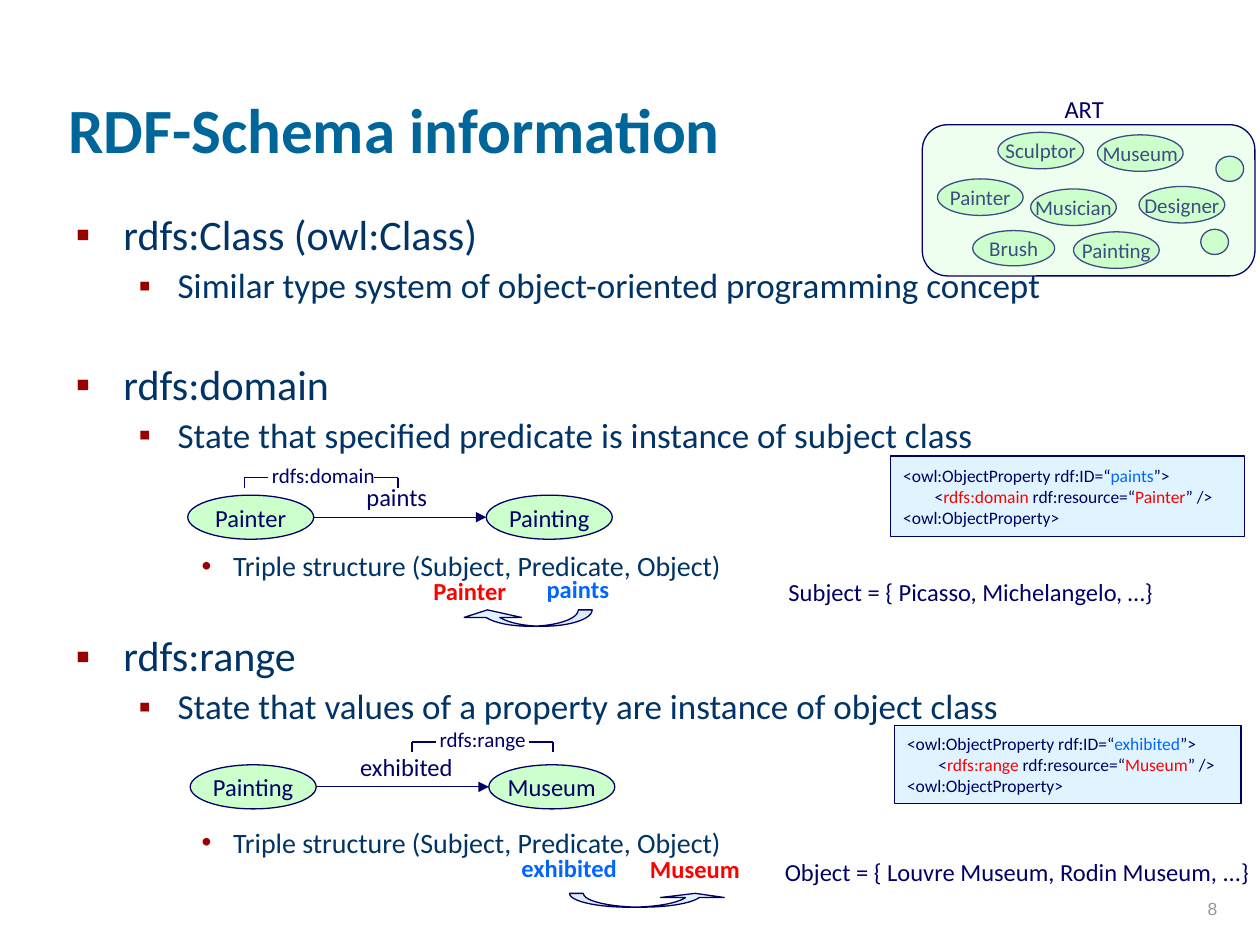
from lxml import etree
from pptx import Presentation
from pptx.dml import color
from pptx.enum import shapes, text
from pptx.oxml import ns
from pptx.util import Inches, Pt

NAVY, GREEN, SKY = "000066", "CCFFCC", "66CCFF"
RED, BLUE, BULLET = "FF0000", "0066FF", "990000"
SHAPE = shapes.MSO_SHAPE


def rgb(hex_code):
    """Turn a hex string into a colour."""
    return color.RGBColor.from_string(hex_code)


def add_element(parent, tag, **attributes):
    """Append a DrawingML element and return it."""
    return etree.SubElement(parent, ns.qn(tag), attributes)


def add_run(paragraph, words, size, hue=NAVY, bold=False, face="Calibri"):
    """Append one formatted run."""
    run = paragraph.add_run()
    run.text = words
    run.font.size, run.font.bold, run.font.name = Pt(size), bold, face
    run.font.color.rgb = rgb(hue)


def add_label(slide, box, words, size=14, hue=NAVY, bold=False):
    """Place a single-line text box."""
    label = slide.shapes.add_textbox(*map(Inches, box))
    label.text_frame.word_wrap = True
    add_run(label.text_frame.paragraphs[0], words, size, hue, bold)
    return label


def add_outlined(slide, kind, box, fill, alpha=100):
    """Place a filled preset shape with a thin navy outline."""
    outlined = slide.shapes.add_shape(kind, *map(Inches, box))
    outlined.shadow.inherit = False
    outlined.fill.solid()
    outlined.fill.fore_color.rgb = rgb(fill)
    if alpha < 100:
        hue = outlined.fill._xPr.find(".//" + ns.qn("a:srgbClr"))
        add_element(hue, "a:alpha", val=str(alpha * 1000))
    outlined.line.color.rgb = rgb(NAVY)
    outlined.line.width = Pt(0.75)
    return outlined


def add_node(slide, box, name="", size=14):
    """Place a class ellipse with its name."""
    frame = add_outlined(slide, SHAPE.OVAL, box, GREEN).text_frame
    frame.word_wrap = False
    frame.vertical_anchor = text.MSO_ANCHOR.MIDDLE
    if name:
        frame.paragraphs[0].alignment = text.PP_ALIGN.CENTER
        add_run(frame.paragraphs[0], name, size)


def add_line(slide, x1, y1, x2, y2, arrow=False):
    """Draw a thin navy line, with an arrowhead at its end if wanted."""
    line = slide.shapes.add_connector(
        shapes.MSO_CONNECTOR.STRAIGHT, *map(Inches, (x1, y1, x2, y2)))
    line.line.color.rgb = rgb(NAVY)
    line.line.width = Pt(0.75)
    if arrow:
        add_element(line.line._get_or_add_ln(), "a:tailEnd", type="triangle")
    add_element(line._element.spPr, "a:effectLst")


def fill_title(slide, box):
    """Place the slide title."""
    title = slide.shapes.title
    title.left, title.top, title.width, title.height = map(Inches, box)
    title.text_frame.vertical_anchor = text.MSO_ANCHOR.BOTTOM
    heading = title.text_frame.paragraphs[0]
    heading.alignment = text.PP_ALIGN.LEFT
    add_run(heading, "RDF-Schema information", 36, "006699", True)


def fill_outline(slide, box):
    """Place the bulleted outline, leaving room for the diagrams."""
    levels = [(0.38, 0.38, "▪", 24), (0.81, 0.31, "▪", 20), (1.25, 0.25, "•", 16)]
    triple = "Triple structure (Subject, Predicate, Object)"
    entries = [
        (0, 0, "rdfs:Class (owl:Class)"),
        (1, 5, "Similar type system of object-oriented programming concept"),
        (0, 33, "rdfs:domain"),
        (1, 5, "State that specified predicate is instance of subject class"),
        (2, 55.2, triple),
        (0, 30.3, "rdfs:range"),
        (1, 5, "State that values of a property are instance of object class"),
        (2, 58, triple),
    ]
    outline = slide.placeholders[1]
    outline.left, outline.top, outline.width, outline.height = map(Inches, box)
    frame = outline.text_frame
    frame.auto_size = text.MSO_AUTO_SIZE.NONE
    for number, (level, gap, words) in enumerate(entries):
        entry = frame.add_paragraph() if number else frame.paragraphs[0]
        margin, hanging, mark, size = levels[level]
        entry.level = level
        properties = entry._p.get_or_add_pPr()
        properties.set("marL", str(Inches(margin)))
        properties.set("indent", str(-Inches(hanging)))
        add_element(add_element(properties, "a:buClr"), "a:srgbClr", val=BULLET)
        add_element(properties, "a:buFont", typeface="Arial")
        add_element(properties, "a:buChar", char=mark)
        entry.line_spacing, entry.space_before = 0.9, Pt(gap)
        add_run(entry, words, size, "003366")


def add_art_domain(slide, box):
    """Place the ART group of classes."""
    left, top, width, height = box
    classes = [
        ("Painter", 0.12, 0.43), ("Designer", 1.72, 0.49), ("Sculptor", 0.6, 0.06),
        ("Musician", 0.86, 0.51), ("Museum", 1.39, 0.08), ("Painting", 1.2, 0.85),
        ("Brush", 0.4, 0.84),
    ]
    for name, x, y in classes:
        size = (0.65, 0.28) if name == "Brush" else (0.68, 0.29)
        add_node(slide, (left + x, top + y, *size), name, 12)
    for x, y in [(2.33, 0.25), (2.21, 0.83)]:
        add_node(slide, (left + x, top + y, 0.22, 0.2))
    add_outlined(slide, SHAPE.ROUNDED_RECTANGLE, box, GREEN, 30)
    add_label(slide, (left + 1.03, top - 0.29, 0.62, 0.34), "ART")


def add_bracket(slide, box, words):
    """Place a bracket with its label set into the top edge."""
    left, top, width, drop = box
    stub, right = 0.19, left + width
    for edge, inner in [(left, left + stub), (right, right - stub)]:
        add_line(slide, inner, top, edge, top)
        add_line(slide, edge, top, edge, top + drop)
    add_label(slide, (left + 0.12, top - 0.17, 1.14, 0.3), words, 12)


def add_triple(slide, box, subject, predicate, target, predicate_x):
    """Place subject and object ellipses joined by the predicate arrow."""
    left, top, width, height = box
    middle = top + height / 2
    add_node(slide, (left, top, 1, height), subject)
    add_node(slide, (left + width - 1, top, 1, height), target)
    add_line(slide, left + 1, middle, left + width - 1, middle, arrow=True)
    add_label(slide, (predicate_x, top - 0.15, 1.03, 0.34), predicate)


def add_property_code(slide, box, predicate, keyword, resource):
    """Place the OWL listing of one property."""
    listing = add_outlined(slide, SHAPE.RECTANGLE, box, SKY, 20)
    frame = listing.text_frame
    frame.word_wrap = False
    frame.vertical_anchor = text.MSO_ANCHOR.MIDDLE
    lines = [
        [("<owl:ObjectProperty rdf:ID=“", NAVY), (predicate, BLUE), ("”>", NAVY)],
        [("        <", NAVY), (keyword + " ", RED), ("rdf:resource=“", NAVY),
         (resource, RED), ("” />", NAVY)],
        [("<owl:ObjectProperty>", NAVY)],
    ]
    for number, parts in enumerate(lines):
        line = frame.add_paragraph() if number else frame.paragraphs[0]
        line.alignment = text.PP_ALIGN.LEFT
        for words, hue in parts:
            add_run(line, words, 10, hue)


def add_curved_arrow(slide, kind, box, proportions, rotation=0):
    """Place the curved arrow that links predicate and class."""
    arrow = add_outlined(slide, kind, box, SKY, 20)
    arrow.rotation = rotation
    for index, share in enumerate(proportions):
        arrow.adjustments[index] = share


def add_page_number(slide, box, number):
    """Place the page number."""
    page = slide.shapes.add_textbox(*map(Inches, box)).text_frame
    page.word_wrap = True
    page.vertical_anchor = text.MSO_ANCHOR.BOTTOM
    page.paragraphs[0].alignment = text.PP_ALIGN.RIGHT
    add_run(page.paragraphs[0], number, 10, "969696", face="Arial")


def main():
    """Build the slide and save it."""
    deck = Presentation()
    deck.slide_width, deck.slide_height = Inches(10), Inches(7.5)
    slide = deck.slides.add_slide(deck.slide_layouts[1])
    fill_title(slide, (0.44, 0.12, 8.5, 1.25))
    fill_outline(slide, (0.5, 1.65, 9.07, 5.63))
    add_art_domain(slide, (7.32, 0.99, 2.64, 1.2))

    add_bracket(slide, (1.94, 3.79, 1.22, 0.08), "rdfs:domain")
    add_triple(slide, (1.49, 3.93, 3.37, 0.35), "Painter", "paints", "Painting", 2.81)
    add_property_code(slide, (7.07, 3.62, 2.81, 0.64), "paints", "rdfs:domain", "Painter")
    add_label(slide, (3.34, 4.52, 0.92, 0.34), "Painter", hue=RED, bold=True)
    add_label(slide, (4.24, 4.51, 1, 0.34), "paints", hue=BLUE, bold=True)
    add_curved_arrow(slide, SHAPE.CURVED_DOWN_ARROW, (3.64, 4.84, 1.06, 0.13),
                     (0.85, 3.5, 0.46), 180)
    add_label(slide, (6.16, 4.53, 3.46, 0.34), "Subject = { Picasso, Michelangelo, …}")

    add_bracket(slide, (3.27, 5.89, 1.12, 0.08), "rdfs:range")
    add_triple(slide, (1.51, 6.07, 3.37, 0.35), "Painting", "exhibited", "Museum", 2.76)
    add_property_code(slide, (7.1, 5.76, 2.75, 0.62), "exhibited", "rdfs:range", "Museum")
    add_label(slide, (4.04, 6.72, 1.08, 0.34), "exhibited", hue=BLUE, bold=True)
    add_label(slide, (5.06, 6.73, 1.01, 0.34), "Museum", hue=RED, bold=True)
    add_curved_arrow(slide, SHAPE.CURVED_UP_ARROW, (4.52, 7.09, 1.25, 0.11),
                     (1.2, 4.6, 0.3))
    add_label(slide, (6.13, 6.75, 4.01, 0.34),
              "Object = { Louvre Museum, Rodin Museum, ...}")
    add_page_number(slide, (7.68, 6.84, 2.08, 0.5), "8")
    deck.save("out.pptx")


if __name__ == "__main__":
    main()
